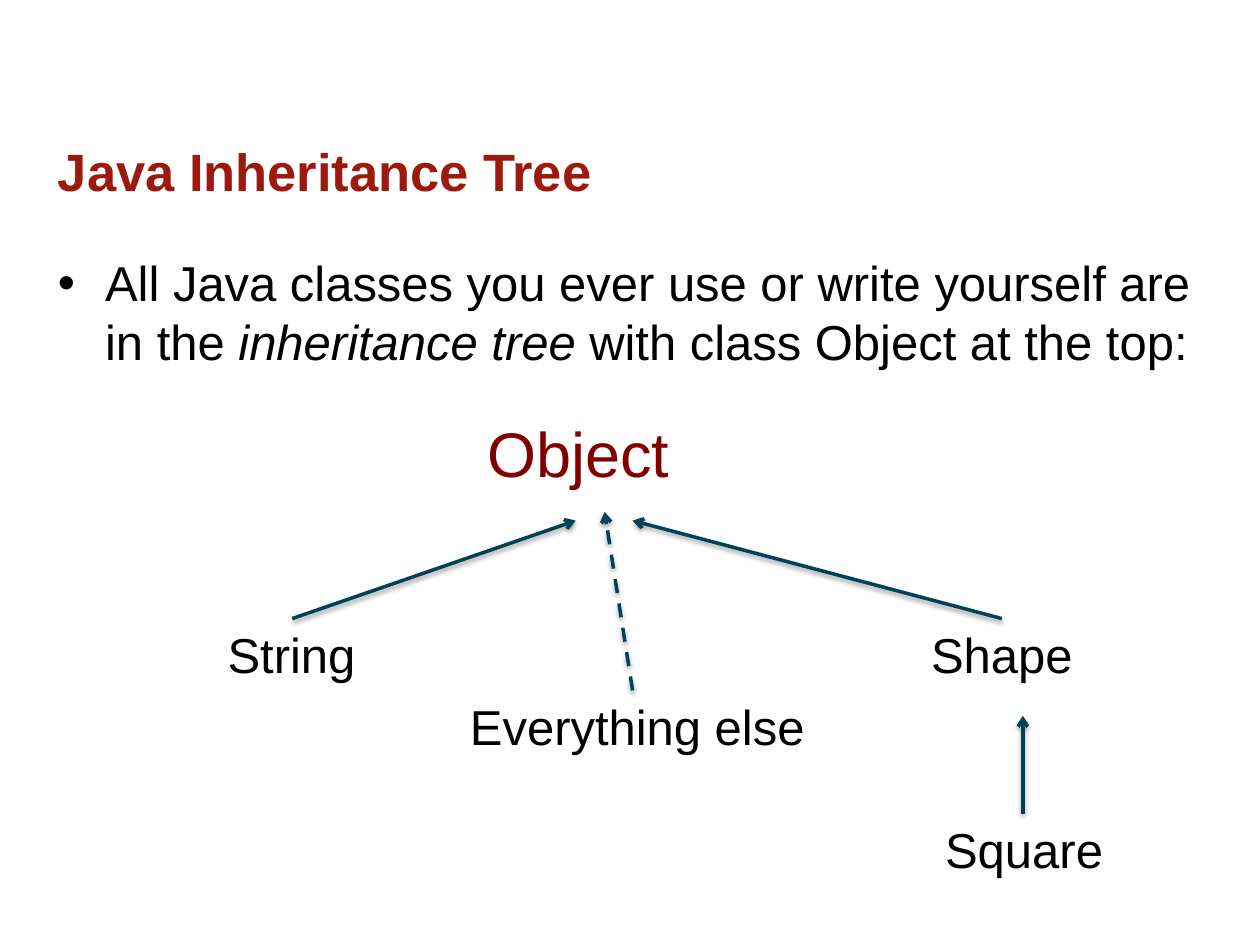
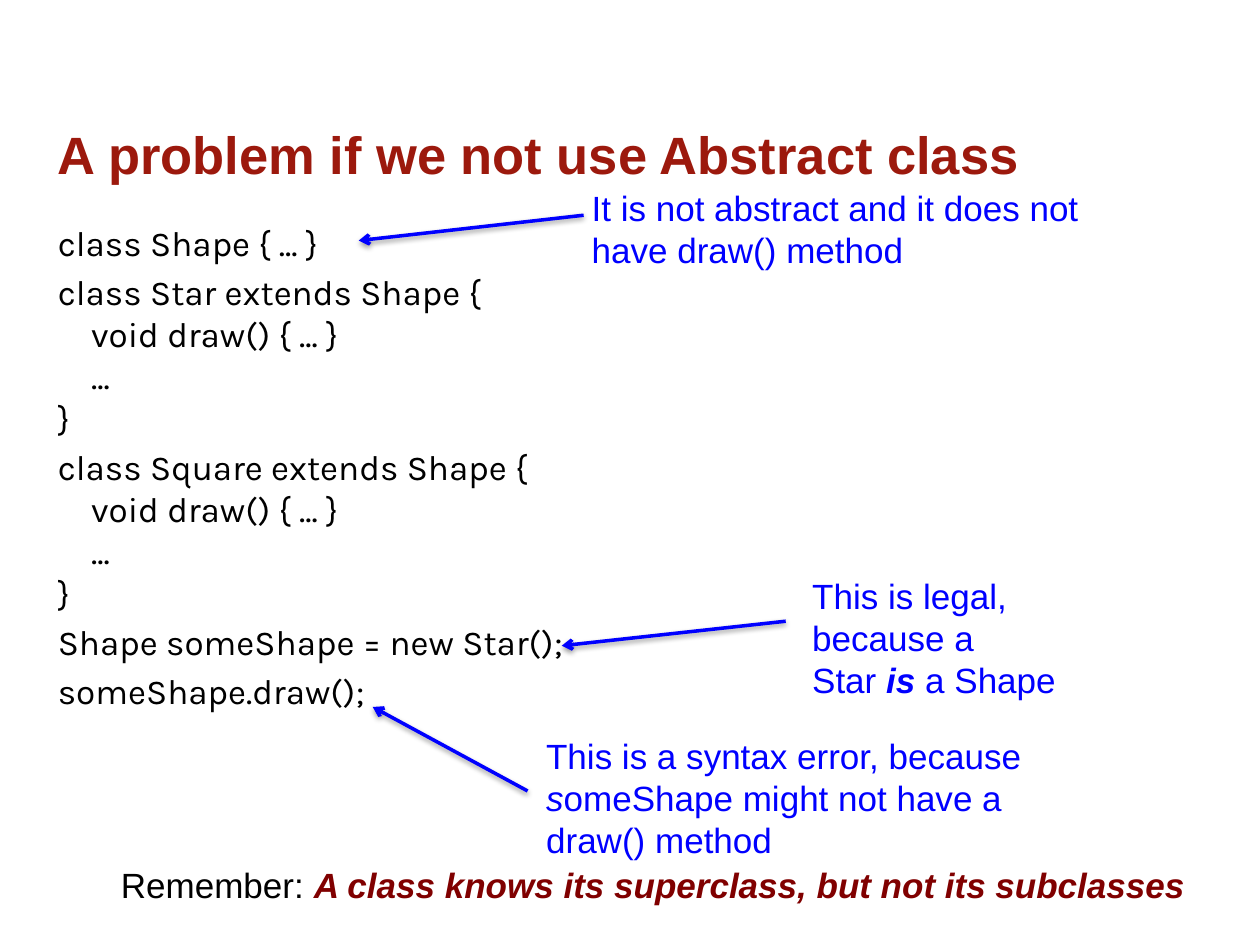
from dataclasses import dataclass
from typing import Any

from lxml import etree
from pptx import Presentation
from pptx import util as u
from pptx.dml.color import RGBColor
from pptx.enum import dml, shapes, text
from pptx.oxml import parse_xml
from pptx.oxml.ns import nsdecls, qn

Pt = u.Pt

# Shared look
BLACK, TITLE_RED, DARK_RED = "000000", "9C190D", "800000"
TEAL, BLUE = "004359", "0000FF"
SANS, CODE = "Arial", "Karla"
LEFT, BODY_WIDTH = 26, 668
SHADOW = (
    f'<a:effectLst {nsdecls("a")}>'
    '<a:outerShdw blurRad="39370" dist="20320" dir="5400000" rotWithShape="0">'
    '<a:srgbClr val="000000"><a:alpha val="38000"/></a:srgbClr>'
    "</a:outerShdw></a:effectLst>"
)


@dataclass(frozen=True)
class Run:
    text: str
    size: float = 20
    color: str = BLACK
    font: str = SANS
    bold: bool = False
    italic: bool = False


@dataclass(frozen=True)
class Para:
    runs: tuple[Run, ...]
    before: float = 0
    indent: float = 0
    bullet: bool = False


@dataclass(frozen=True)
class Box:
    left: float
    top: float
    width: float
    height: float
    paras: tuple[Para, ...]
    wrap: bool = True
    anchor: Any = text.MSO_ANCHOR.TOP


@dataclass(frozen=True)
class Arrow:
    x1: float
    y1: float
    x2: float
    y2: float
    color: str
    dashed: bool = False


def rgb(value: str) -> RGBColor:
    return RGBColor.from_string(value)


def draw_box(s: Any, box: Box) -> None:
    sp = s.shapes.add_textbox(Pt(box.left), Pt(box.top), Pt(box.width), Pt(box.height))
    tf = sp.text_frame
    tf.word_wrap = box.wrap
    tf.vertical_anchor = box.anchor
    for i, para in enumerate(box.paras):
        p = tf.paragraphs[0] if i == 0 else tf.add_paragraph()
        p.space_before = Pt(para.before)
        ppr = p._p.get_or_add_pPr()
        ppr.set("marL", str(Pt(para.indent)))
        if para.bullet:
            ppr.set("indent", str(-Pt(para.indent)))
            etree.SubElement(ppr, qn("a:buFont")).set("typeface", SANS)
            etree.SubElement(ppr, qn("a:buChar")).set("char", "•")
        for run in para.runs:
            r = p.add_run()
            r.text = run.text
            r.font.name, r.font.size = run.font, Pt(run.size)
            r.font.bold, r.font.italic = run.bold, run.italic
            r.font.color.rgb = rgb(run.color)


def draw_arrow(s: Any, arrow: Arrow) -> None:
    ends = (Pt(v) for v in (arrow.x1, arrow.y1, arrow.x2, arrow.y2))
    sp = s.shapes.add_connector(shapes.MSO_CONNECTOR.STRAIGHT, *ends)
    sp.line.width = Pt(2)
    sp.line.color.rgb = rgb(arrow.color)
    if arrow.dashed:
        sp.line.dash_style = dml.MSO_LINE.DASH
    etree.SubElement(sp.line._get_or_add_ln(), qn("a:tailEnd")).set("type", "arrow")
    sp._element.spPr.append(parse_xml(SHADOW))


def title(top: float, words: str) -> Box:
    para = Para((Run(words, 30, TITLE_RED, bold=True),))
    return Box(LEFT, top, BODY_WIDTH, 52, (para,), anchor=text.MSO_ANCHOR.MIDDLE)


def node(left: float, top: float, name: str, width: float,
         size: float = 28, color: str = BLACK) -> Box:
    return Box(left, top, width, 41, (Para((Run(name, size, color),)),), wrap=False)


def callout(left: float, top: float, width: float, height: float,
            *lines: tuple[Run, ...]) -> Box:
    return Box(left, top, width, height, tuple(Para(line, indent=36) for line in lines))


def note(words: str, bold: bool = False, italic: bool = False) -> Run:
    return Run(words, color=BLUE, bold=bold, italic=italic)


def code_block(*lines: str) -> tuple[Para, ...]:
    """First line opens the block; lines starting with a tab are indented."""
    return tuple(
        Para((Run(line.strip(), font=CODE),), before=0 if i else 4,
             indent=19 if line.startswith("\t") else 0)
        for i, line in enumerate(lines)
    )


def drawing_class(name: str) -> tuple[Para, ...]:
    return code_block(f"class {name} extends Shape {{", "\tvoid draw() { ... }", "\t...", "}")


def build_slide(prs: Any, parts: list[Box | Arrow]) -> None:
    s = prs.slides.add_slide(prs.slide_layouts[6])
    for part in parts:
        if isinstance(part, Box):
            draw_box(s, part)
        else:
            draw_arrow(s, part)


def inheritance_tree() -> list[Box | Arrow]:
    statement = Para((
        Run("All Java classes you ever use or write yourself are in the ", 28),
        Run("inheritance tree ", 28, italic=True),
        Run("with class Object at the top:", 28),
    ), before=5.6, indent=27, bullet=True)
    return [
        title(71.5, "Java Inheritance Tree"),
        Box(LEFT, 141, BODY_WIDTH, 344, (statement,)),
        # Classes
        node(271.5, 233.5, "Object", 119.5, 36, DARK_RED),
        node(123, 353.5, "String", 88.5),
        node(261.5, 394.5, "Everything else", 208),
        node(525, 353.5, "Shape", 96.5),
        node(533, 465, "Square", 106),
        # Links to the superclass
        Arrow(167, 353.5, 329, 297.5, TEAL),
        Arrow(361.5, 394.5, 345.5, 292.5, TEAL, dashed=True),
        Arrow(572.5, 353.5, 361.5, 297.5, TEAL),
        Arrow(584.5, 465, 584.5, 409, TEAL),
    ]


def abstract_problem() -> list[Box | Arrow]:
    code = (
        *code_block("class Shape { ... }"),
        *drawing_class("Star"),
        *drawing_class("Square"),
        *code_block("Shape someShape = new Star();"),
        *code_block("someShape.draw();"),
    )
    moral = Para((
        Run("Remember: "),
        Run("A class knows its superclass, but not its subclasses",
            color=DARK_RED, bold=True, italic=True),
    ), indent=36)
    return [
        title(62, "A problem if we not use Abstract class"),
        Box(LEFT, 123, BODY_WIDTH, 344, code),
        Box(LEFT, 490, BODY_WIDTH, 31, (moral,)),
        # Callouts, each with its arrow to the code
        callout(421, 324.5, 225.5, 55.5,
                (note("This is legal, because a"),),
                (note("Star "), note("is", True, True), note(" a Shape"))),
        Arrow(449, 355, 321, 369, BLUE),
        callout(269, 416, 360, 80,
                (note("This is a syntax error, because "), note("s", italic=True),
                 note("omeShape might not have a draw() method"))),
        Arrow(301.5, 452, 213, 404, BLUE),
        callout(295, 103, 358.5, 55.5,
                (note("It is not abstract and it does not have draw() method"),)),
        Arrow(333.5, 123, 205, 137.5, BLUE),
    ]


def main() -> None:
    prs = Presentation()
    prs.slide_width, prs.slide_height = Pt(720), Pt(540)
    for parts in (inheritance_tree(), abstract_problem()):
        build_slide(prs, parts)
    prs.save("out.pptx")


if __name__ == "__main__":
    main()
